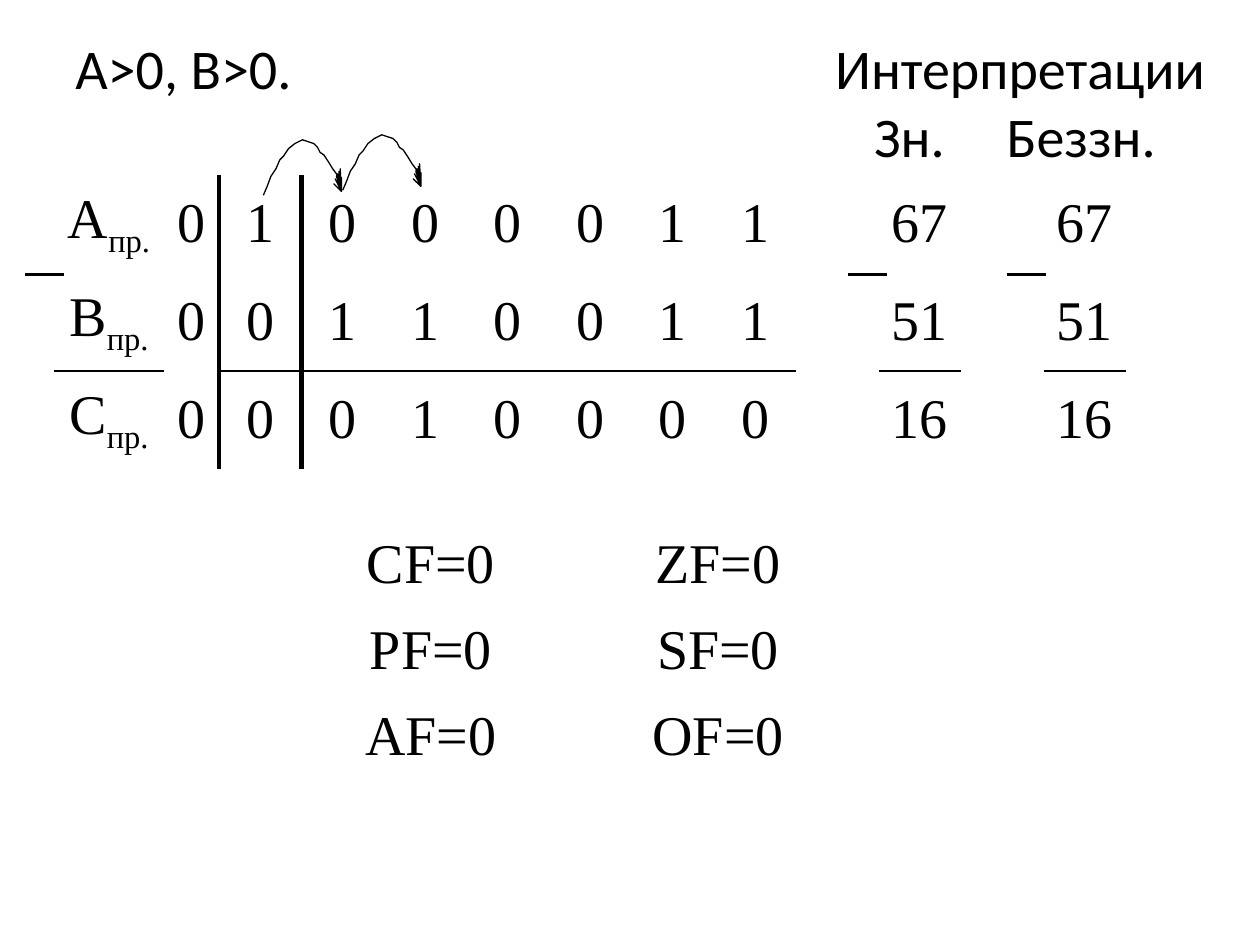
from pptx import Presentation
from pptx.dml.color import RGBColor
from pptx.enum.shapes import MSO_CONNECTOR
from pptx.enum.text import MSO_ANCHOR, PP_ALIGN
from pptx.oxml.ns import qn
from pptx.util import Inches, Pt
from lxml.etree import SubElement

BLACK = RGBColor(0x00, 0x00, 0x00)
SANS = "Calibri"
SERIF = "Times New Roman"
NO_STYLE = "{2D5ABB26-0587-4C30-8999-92F81FD0307C}"
SUBSCRIPT = "пр."

# Shift arrow, relative to its top left corner
ARC = [(0, 0.44), (0.03, 0.37), (0.06, 0.29), (0.1, 0.23), (0.13, 0.16),
       (0.16, 0.13), (0.2, 0.07), (0.25, 0.03), (0.31, 0), (0.4, 0.03),
       (0.43, 0.06), (0.45, 0.1), (0.48, 0.12), (0.52, 0.18), (0.55, 0.23),
       (0.58, 0.27), (0.6, 0.34)]
TIP = (0.62, 0.41)
BARBS = [(0.56, 0.35), (0.57, 0.31), (0.58, 0.29), (0.59, 0.27),
         (0.6, 0.25), (0.61, 0.23), (0.62, 0.3)]


def add_text(p, text, font=SERIF, size=32, color=BLACK, baseline=None):
    r = p.add_run()
    r.text = text
    r.font.name = font
    r.font.size = Pt(size)
    r.font.color.rgb = color
    if baseline is not None:
        r.font._element.set("baseline", str(baseline * 1000))


def add_border(cell, side, width):
    ln = SubElement(cell._tc.get_or_add_tcPr(), qn(f"a:ln{side}"), w=str(Pt(width)))
    fill = SubElement(ln, qn("a:solidFill"))
    SubElement(fill, qn("a:srgbClr"), val=str(BLACK))


class SlideBuilder:
    def __init__(self, slide, color=BLACK):
        self.s = slide
        self.color = color

    def tabbed_text(self, left, top, width, height, lines):
        """Each line is a list of (tab position, text) pairs."""
        tf = self.s.shapes.add_textbox(
            Inches(left), Inches(top), Inches(width), Inches(height)).text_frame
        tf.word_wrap = True
        for i, line in enumerate(lines):
            p = tf.paragraphs[0] if i == 0 else tf.add_paragraph()
            tabs = SubElement(p._p.get_or_add_pPr(), qn("a:tabLst"))
            for pos, _ in line:
                SubElement(tabs, qn("a:tab"), pos=str(Inches(pos)), algn="l")
            add_text(p, "".join("\t" + text for _, text in line), font=SANS)

    def table(self, left, top, widths, row_height, rows, borders=None):
        """borders maps (row, column) to a list of (side, width) in L, R, T, B order."""
        borders = borders or {}
        frame = self.s.shapes.add_table(
            len(rows), len(widths), Inches(left), Inches(top),
            Inches(sum(widths)), Inches(row_height * len(rows)))
        tbl = frame.table
        tbl.first_row = tbl.horz_banding = False
        tbl._tbl.tblPr.find(qn("a:tableStyleId")).text = NO_STYLE
        for col, width in zip(tbl.columns, widths):
            col.width = Inches(width)
        for i, row in enumerate(rows):
            tbl.rows[i].height = Inches(row_height)
            for j, text in enumerate(row):
                cell = tbl.cell(i, j)
                for side, width in borders.get((i, j), []):
                    add_border(cell, side, width)
                cell.fill.background()
                cell.vertical_anchor = MSO_ANCHOR.MIDDLE
                cell.margin_left = cell.margin_right = Inches(0.07)
                cell.margin_top = cell.margin_bottom = 0
                p = cell.text_frame.paragraphs[0]
                p.alignment = PP_ALIGN.CENTER
                if text:
                    add_text(p, text.removesuffix(SUBSCRIPT))
                if text.endswith(SUBSCRIPT):
                    add_text(p, SUBSCRIPT, baseline=-25)

    def line(self, x1, y1, x2, y2, width):
        c = self.s.shapes.add_connector(
            MSO_CONNECTOR.STRAIGHT, Inches(x1), Inches(y1), Inches(x2), Inches(y2))
        c.line.color.rgb = self.color
        c.line.width = Pt(width)
        SubElement(c._element.spPr, qn("a:effectLst"))

    def shift_arrow(self, left, top):
        # The head is a dense fan of strokes from the tip
        path = ARC + [TIP] + [pt for barb in BARBS for pt in (barb, TIP)]
        points = [(Inches(left + x), Inches(top + y)) for x, y in path]
        fb = self.s.shapes.build_freeform(*points[0])
        fb.add_line_segments(points[1:], close=False)
        sp = fb.convert_to_shape()
        sp.fill.background()
        sp.line.color.rgb = self.color
        sp.line.width = Pt(0.75)
        sp.shadow.inherit = False


def subtraction_borders(sum_columns):
    borders = {}
    for i in range(3):
        borders[i, 1] = [("R", 3)]
        borders[i, 2] = [("L", 3)]
    for j in sum_columns:
        width = 1 if j == 2 else 1.5
        borders.setdefault((1, j), []).append(("B", width))
        borders.setdefault((2, j), []).append(("T", width))
    return borders


def main():
    prs = Presentation()
    prs.slide_width, prs.slide_height = Inches(10), Inches(7.5)
    b = SlideBuilder(prs.slides.add_slide(prs.slide_layouts[6]))

    # Heading
    b.tabbed_text(0, 0.22, 10, 1.72, [
        [(0.5, "А>0, B>0."), (6.53, "Интерпретации")],
        [(6.84, "Зн."), (7.89, "Беззн.")],
    ])

    # Binary subtraction: sign, seven digits, then both decimal readings
    operands = [("A", "01000011", "67"), ("B", "00110011", "51"), ("C", "00010000", "16")]
    rows = [[name + SUBSCRIPT, *bits, "", value, "", value]
            for name, bits, value in operands]
    digit_width = 7.2 / 11
    b.table(0.43, 1.39, [0.87, 0.44] + [digit_width] * 11, 2.33 / 3, rows,
            subtraction_borders([0, *range(2, 9), 10, 12]))

    # Minus signs
    for x in (0.2, 7.99, 6.73):
        b.line(x, 2.18, x + 0.31, 2.18, 1.5)

    # Borrow arrows
    for left, top in ((2.72, 1.07), (2.09, 1.11)):
        b.shift_arrow(left, top)

    # Flags
    flags = [("CF", "ZF"), ("PF", "SF"), ("AF", "OF")]
    b.table(2.72, 4.14, [1.4, 0.36, 2.44], 2.05 / 3,
            [[f"{first}=0", "", f"{second}=0"] for first, second in flags])

    prs.save("out.pptx")


if __name__ == "__main__":
    main()
